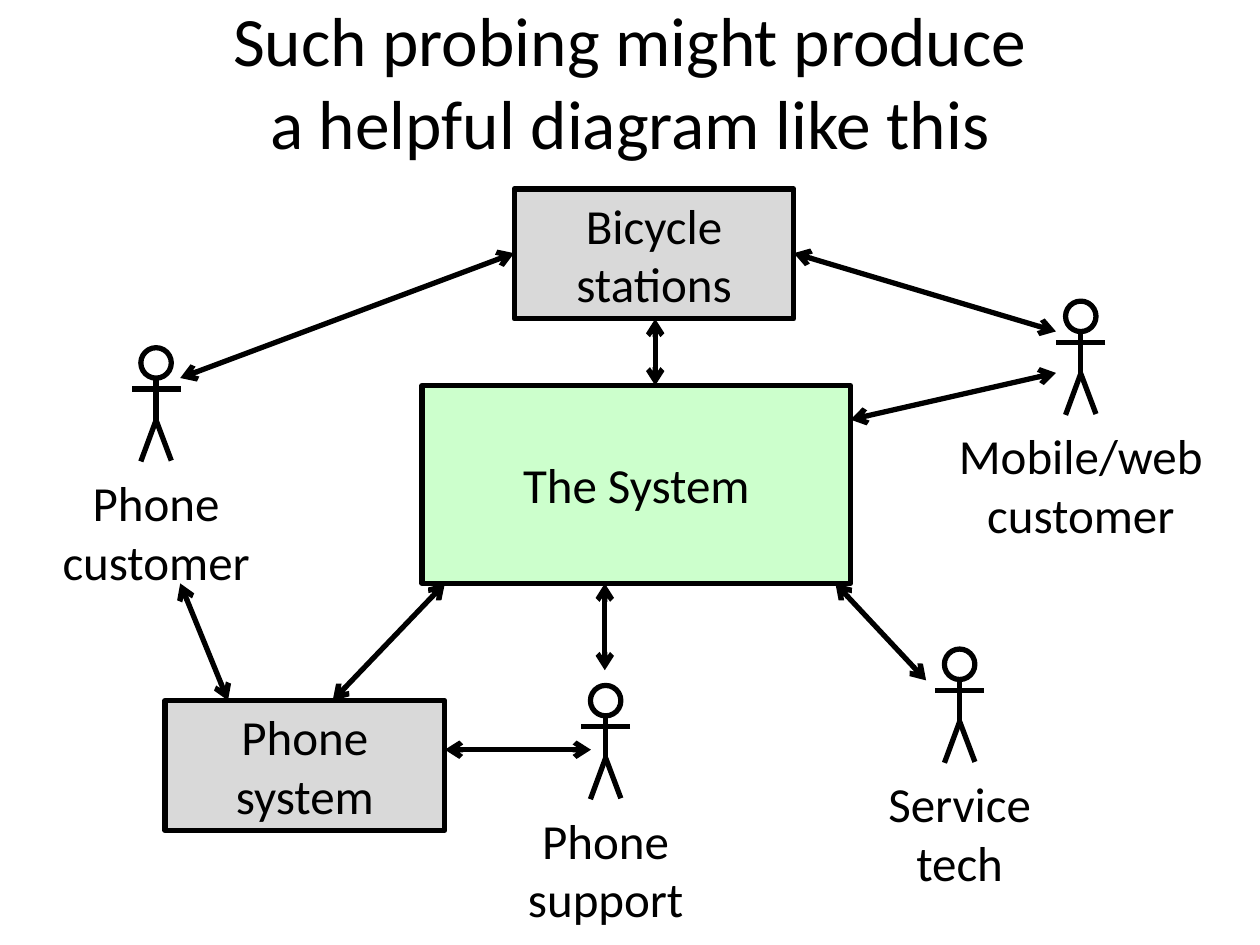
"""Build a context diagram of a bicycle rental system with its actors and neighbours."""
import pptx
import pptx.util
import pptx.dml.color
import pptx.enum.shapes
import pptx.enum.text
import pptx.oxml
import pptx.oxml.ns
from lxml import etree

Pt = pptx.util.Pt
SHAPES = pptx.enum.shapes.MSO_SHAPE
ANCHORS = pptx.enum.text.MSO_ANCHOR

COLORS = {"ink": "000000", "system": "CCFFCC", "neighbour": "D9D9D9"}
FONT = "Calibri"
TITLE = "Such probing might produce\va helpful diagram like this"
TITLE_SIZE, TEXT_SIZE, LINE_WIDTH = 39.6, 28, 3

BOXES = [
    ("The System", "system", (241.2, 220.3, 244.8, 113)),
    ("Phone system", "neighbour", (94.3, 400.3, 159.8, 74.2)),
    ("Bicycle\vstations", "neighbour", (293.8, 108, 159.8, 74.2)),
]

ACTORS = [
    ("Mobile/web\vcustomer", 617.6, 172.1, 155.5),
    ("Phone\vsupport", 346.1, 391.7, 104.4),
    ("Service\vtech", 548.4, 370.9, 96.5),
    ("Phone\vcustomer", 89.2, 198.7, 123.1),
]
HEAD = 17.4
LIMBS = [
    ((0, 17.4), (0, 41.4)),
    ((0, 41.4), (-8.7, 65)),
    ((0, 41.4), (8.7, 64.5)),
    ((14, 23.6), (-14, 23.6)),
]
LABEL_DROP, LABEL_HEIGHT = 67.7, 74.9

ARROWS = [
    ((103, 333.4), (130.3, 400.3)),
    ((190.1, 400.3), (254.2, 333.4)),
    ((254.2, 428.4), (337.7, 428.4)),
    ((477.4, 333.4), (529.2, 388.8)),
    ((486, 239.8), (603.4, 213.1)),
    ((345.6, 333.4), (345.6, 383)),
    ((374.4, 182.2), (374.4, 220.3)),
    ((453.6, 144.7), (603.4, 189.4)),
    ((293.8, 144.7), (103, 216)),
]


def color(name):
    return pptx.dml.color.RGBColor.from_string(COLORS[name])


def write(frame, text, size):
    frame.text = text
    para = frame.paragraphs[0]
    para.alignment = pptx.enum.text.PP_ALIGN.CENTER
    for span in para.runs:
        span.font.name = FONT
        span.font.size = Pt(size)
        span.font.color.rgb = color("ink")
    for line_break in para._p.findall(pptx.oxml.ns.qn("a:br")):
        properties = etree.SubElement(line_break, pptx.oxml.ns.qn("a:rPr"))
        properties.set("sz", str(round(size * 100)))


def outline(shape):
    shape.line.color.rgb = color("ink")
    shape.line.width = Pt(LINE_WIDTH)


def add_box(page, text, fill, place):
    box = page.shapes.add_shape(SHAPES.RECTANGLE, *map(Pt, place))
    box.shadow.inherit = False
    box.fill.solid()
    box.fill.fore_color.rgb = color(fill)
    outline(box)
    box.text_frame.word_wrap = True
    box.text_frame.vertical_anchor = ANCHORS.MIDDLE
    write(box.text_frame, text, TEXT_SIZE)


def add_line(shapes, start, end, arrows=False):
    line = shapes.add_connector(
        pptx.enum.shapes.MSO_CONNECTOR.STRAIGHT, *map(Pt, (*start, *end)))
    outline(line)
    if arrows:
        stroke = line.line._get_or_add_ln()
        for tag in ("a:headEnd", "a:tailEnd"):
            etree.SubElement(stroke, pptx.oxml.ns.qn(tag)).set("type", "arrow")
    etree.SubElement(line._element.spPr, pptx.oxml.ns.qn("a:effectLst"))


def add_actor(page, text, center, top, width):
    figure = page.shapes.add_group_shape()
    head = figure.shapes.add_shape(
        SHAPES.OVAL, Pt(center - HEAD / 2), Pt(top), Pt(HEAD), Pt(HEAD))
    head.shadow.inherit = False
    head.fill.background()
    outline(head)
    for limb in LIMBS:
        start, end = [(center + across, top + down) for across, down in limb]
        add_line(figure.shapes, start, end)
    label = page.shapes.add_textbox(
        Pt(center - width / 2), Pt(top + LABEL_DROP), Pt(width), Pt(LABEL_HEIGHT))
    label.text_frame.word_wrap = False
    label.text_frame.auto_size = pptx.enum.text.MSO_AUTO_SIZE.SHAPE_TO_FIT_TEXT
    write(label.text_frame, text, TEXT_SIZE)


def main():
    deck = pptx.Presentation()
    deck.slide_width, deck.slide_height = Pt(720), Pt(540)
    page = deck.slides.add_slide(deck.slide_layouts.get_by_name("Title Only"))
    title = page.shapes.title
    title.left, title.top, title.width, title.height = map(Pt, (36, 0.7, 648, 90))
    title.text_frame.vertical_anchor = ANCHORS.MIDDLE
    write(title.text_frame, TITLE, TITLE_SIZE)
    for box in BOXES:
        add_box(page, *box)
    for actor in ACTORS:
        add_actor(page, *actor)
    for start, end in ARROWS:
        add_line(page.shapes, start, end, arrows=True)
    deck.save("out.pptx")


if __name__ == "__main__":
    main()
